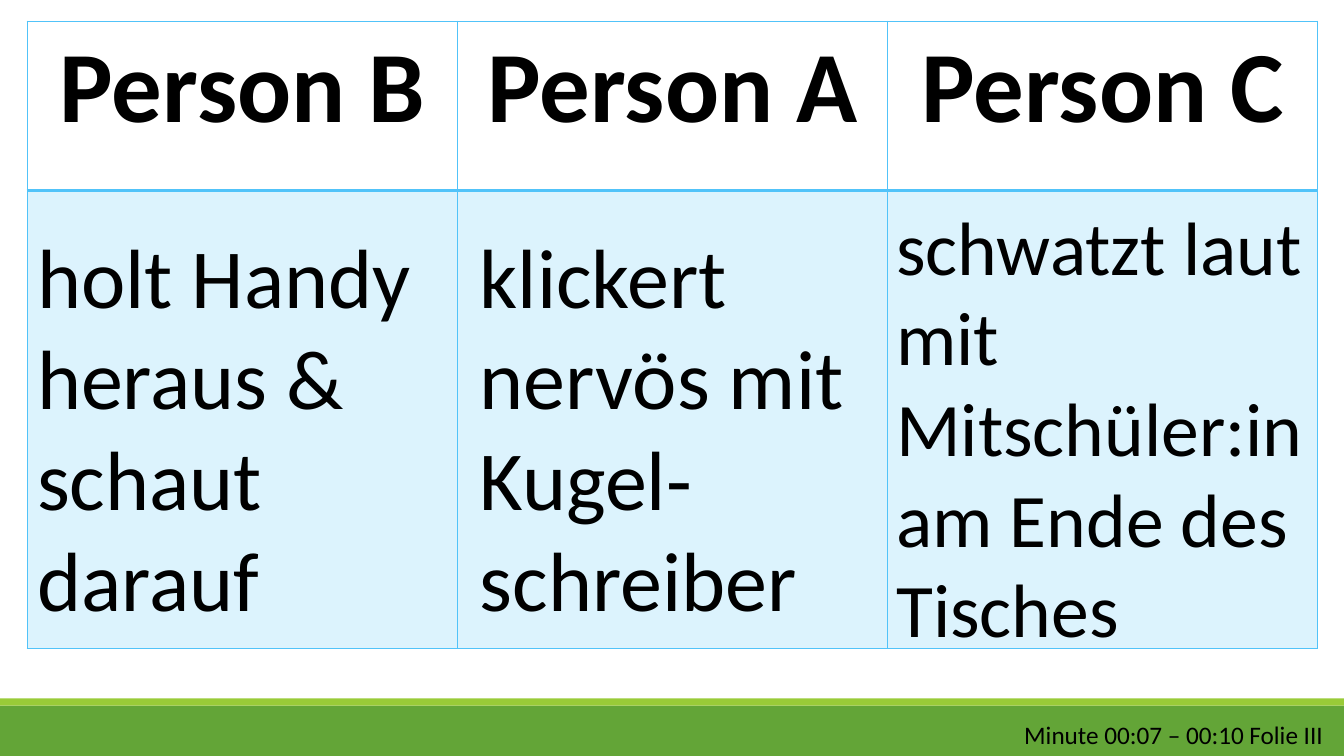
"""Build a slide with a three-person behaviour table above a green footer."""
from lxml import etree
from pptx import Presentation
from pptx.dml.color import RGBColor
from pptx.enum.shapes import MSO_SHAPE
from pptx.enum.text import PP_ALIGN
from pptx.oxml.ns import qn
from pptx.util import Pt

RECT = MSO_SHAPE.RECTANGLE
CENTER = PP_ALIGN.CENTER
PX = 9144
FONT = "Calibri"
COLORS = {"text": "000000", "sky": "51C3F9", "green": "63A537", "lime": "99CB38"}
NAMES = ["Person B", "Person A", "Person C"]
NOTES = [
    ((27, 218, 420, 414), "holt Handy heraus & schaut darauf", 60),
    ((879, 193, 428, 464), "schwatzt laut mit Mitschüler:in am Ende des Tisches", 54),
    ((1006, 709, 321, 40), "Minute 00:07 – 00:10 Folie III", 18),
    ((466, 218, 393, 414), "klickert nervös mit Kugel-schreiber", 60),
]


def color(name):
    return RGBColor.from_string(COLORS[name])


def scale(box):
    return [n * PX for n in box]


def style(par, size, bold=False):
    par.font.name = FONT
    par.font.size = Pt(size)
    par.font.bold = bold
    par.font.color.rgb = color("text")


def add_bar(slide, box, name):
    bar = slide.shapes.add_shape(RECT, *scale(box))
    bar.shadow.inherit = False
    bar.fill.solid()
    bar.fill.fore_color.rgb = color(name)
    bar.line.fill.background()


def add_note(slide, box, text, size):
    frame = slide.shapes.add_textbox(*scale(box)).text_frame
    frame.word_wrap = True
    par = frame.paragraphs[0]
    par.text = text
    style(par, size)


def set_edges(cell, widths):
    props = cell._tc.get_or_add_tcPr()
    for spot, (side, width) in enumerate(zip("LRTB", widths)):
        line = etree.Element(qn(f"a:ln{side}"), w=str(Pt(width)))
        fill = etree.SubElement(line, qn("a:solidFill"))
        etree.SubElement(fill, qn("a:srgbClr"), val=COLORS["sky"])
        props.insert(spot, line)


def tint(cell, name, share):
    cell.fill.solid()
    cell.fill.fore_color.rgb = color(name)
    tone = cell._tc.tcPr.find(".//" + qn("a:srgbClr"))
    etree.SubElement(tone, qn("a:alpha"), val=str(share * 1000))


def add_grid(slide, box, names, rows):
    grid = slide.shapes.add_table(len(rows), len(names), *scale(box)).table
    grid.first_row = grid.horz_banding = False
    for row, high in zip(grid.rows, rows):
        row.height = high * PX
    for col, name in enumerate(names):
        grid.columns[col].width = box[2] * PX // len(names)
        head, body = grid.cell(0, col), grid.cell(1, col)
        head.text = name
        par = head.text_frame.paragraphs[0]
        par.alignment = CENTER
        style(par, 72, True)
        head.fill.background()
        set_edges(head, (1, 1, 1, 2))
        tint(body, "sky", 20)
        set_edges(body, (1, 1, 2, 1))


def main():
    deck = Presentation()
    deck.slide_width, deck.slide_height = scale((1333, 750))
    slide = deck.slides.add_slide(deck.slide_layouts[6])
    add_bar(slide, (0, 700, 1333, 50), "green")
    add_bar(slide, (0, 693, 1333, 7), "lime")
    add_grid(slide, (27, 21, 1280, 622), NAMES, (168, 454))
    for box, text, size in NOTES:
        add_note(slide, box, text, size)
    deck.save("out.pptx")


if __name__ == "__main__":
    main()
